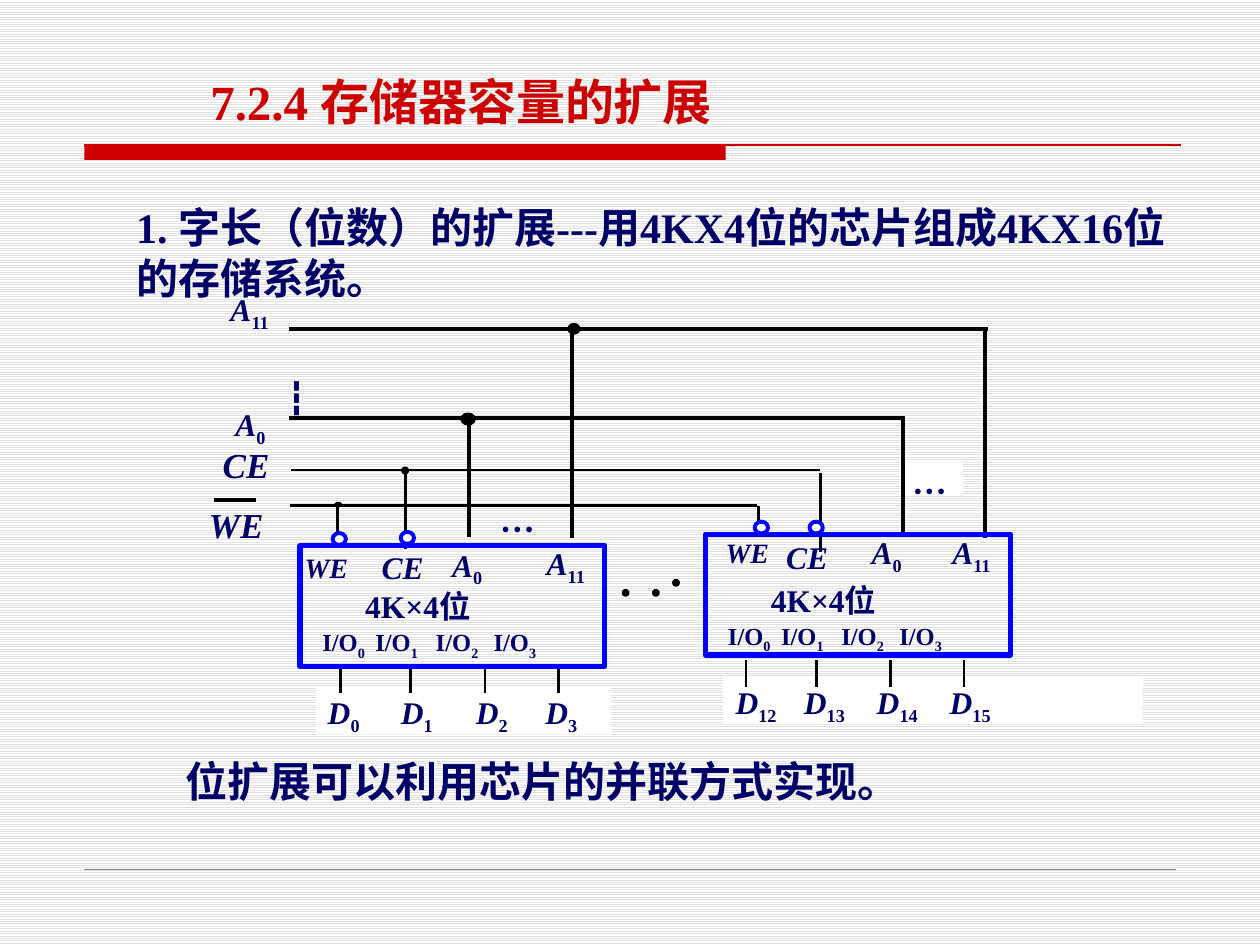
"""Build the slide on extending memory word length with parallel chips."""
import pptx
import pptx.dml.color
import pptx.enum.dml
import pptx.enum.shapes
import pptx.enum.text
import pptx.util
from dataclasses import dataclass
from lxml import etree

Pt = pptx.util.Pt
RGB = pptx.dml.color.RGBColor.from_string
SHAPE = pptx.enum.shapes.MSO_SHAPE


@dataclass
class Theme:
    font: str = "Times New Roman"
    red: str = "CC0000"
    navy: str = "000066"
    blue: str = "0000FF"
    black: str = "000000"
    white: str = "FFFFFF"
    stripe: str = "E0E0E0"
    gray: str = "808080"
    title: int = 28
    body: int = 24
    signal: int = 20
    label: int = 18
    enable: int = 16
    port: int = 14


theme = Theme()
deck = pptx.Presentation()
deck.slide_width, deck.slide_height = Pt(720), Pt(540)
page = deck.slides.add_slide(deck.slide_layouts[1])
backdrop = page.background.fill
backdrop.patterned()
backdrop.pattern = pptx.enum.dml.MSO_PATTERN.LIGHT_HORIZONTAL
backdrop.fore_color.rgb = RGB(theme.stripe)
backdrop.back_color.rgb = RGB(theme.white)


def add_block(kind, left, top, width, height, fill=None, line=None, weight=1):
    block = page.shapes.add_shape(kind, Pt(left), Pt(top), Pt(width), Pt(height))
    block.shadow.inherit = False
    if fill:
        block.fill.solid()
        block.fill.fore_color.rgb = RGB(fill)
    else:
        block.fill.background()
    if line:
        block.line.color.rgb = RGB(line)
        block.line.width = Pt(weight)
    else:
        block.line.fill.background()


def add_label(left, top, text, sub="", size=theme.label, italic=True, width=54, height=30):
    box = page.shapes.add_textbox(Pt(left), Pt(top), Pt(width), Pt(height))
    box.text_frame.word_wrap = True
    para = box.text_frame.paragraphs[0]
    para.text = text
    para.runs[0].font.italic = italic
    if sub:
        span = para.add_run()
        span.text = sub
        span._r.get_or_add_rPr().set("baseline", "-25000")
    for span in para.runs:
        span.font.name = theme.font
        span.font.size = Pt(size)
        span.font.bold = True
        span.font.color.rgb = RGB(theme.navy)


headings = [
    (page.shapes.title, "7.2.4 存储器容量的扩展", (113, 37.4, 532, 40.3),
     theme.title, theme.red, pptx.enum.text.MSO_ANCHOR.MIDDLE),
    (page.placeholders[1], "1. 字长（位数）的扩展---用4KX4位的芯片组成4KX16位的存储系统。",
     (70.6, 111.6, 612, 64.8), theme.body, theme.navy, pptx.enum.text.MSO_ANCHOR.TOP),
]
for box, text, place, size, color, anchor in headings:
    box.left, box.top, box.width, box.height = map(Pt, place)
    frame = box.text_frame
    frame.text = text
    frame.auto_size = pptx.enum.text.MSO_AUTO_SIZE.NONE
    frame.vertical_anchor = anchor
    para = frame.paragraphs[0]
    para.alignment = pptx.enum.text.PP_ALIGN.LEFT
    para.space_before = Pt(0)
    font = para.runs[0].font
    font.name, font.size, font.bold = theme.font, Pt(size), True
    font.color.rgb = RGB(color)
bullet = para._p.get_or_add_pPr()
bullet.set("marL", "0")
bullet.set("indent", "0")
etree.SubElement(bullet, pptx.oxml.ns.qn("a:buNone"))

add_block(SHAPE.RECTANGLE, 48.2, 82.8, 366.5, 8.6, theme.red)
add_block(SHAPE.RECTANGLE, 514.1, 264.2, 36, 18, theme.white)

wires = [
    (48.2, 82.8, 674.6, 82.8, theme.red, 0.75),
    (48.2, 496.8, 671.8, 496.8, theme.gray, 0.25),
]
address_bus = [
    (164.9, 187.9, 564.5, 187.9), (326.9, 187.9, 326.9, 307.4), (563, 187.2, 563, 307.4),
    (164.9, 239, 516.2, 239), (267.8, 239, 267.8, 306.7), (516.2, 237.6, 516.2, 306.7),
    (122.4, 285.8, 146.2, 285.8),
]
control_bus = [
    (166.3, 268.6, 468.7, 268.6), (231.8, 270, 231.8, 313.9), (468.7, 270, 468.7, 315.4),
    (165.6, 288.7, 432.7, 288.7), (193, 289.4, 193, 306.7), (433.4, 289.4, 433.4, 306.7),
]
wires += [(*ends, theme.black, 2.25) for ends in address_bus]
wires += [(*ends, theme.black, 1.5) for ends in control_bus]

chips = [
    {"left": 171.4, "top": 311.8, "rows": 311.8, "data_top": 392.4, "panel": (180.7, 168.5),
     "inputs": [(167, 311), (211, 309.6), (251.3, 308.2), (305.3, 307.4)],
     "bubbles": [(190.1, 304.6), (229, 304)],
     "first_bit": 0, "data": [180.2, 222, 264.8, 304.6]},
    {"left": 403.2, "top": 305.3, "rows": 308.2, "data_top": 386.6, "panel": (413.3, 239.8),
     "inputs": [(407.5, 302.4), (442.1, 303.8), (491, 301), (537.1, 301)],
     "bubbles": [(431.3, 298.1), (462.6, 298.1)],
     "first_bit": 12, "data": [413.2, 452.3, 493.9, 535.6]},
]
input_names = [("WE", "", theme.enable), ("CE", "", theme.label),
               ("A", "0", theme.label), ("A", "11", theme.label)]
pins = [23, 63.3, 105.8, 147.6]
ports = [5.7, 36, 70.5, 103.6]

for chip in chips:
    panel_left, panel_width = chip["panel"]
    add_block(SHAPE.RECTANGLE, panel_left, chip["data_top"], panel_width, 27.4, theme.white)
    for pin in pins:
        x = chip["left"] + pin
        wires.append((x, chip["rows"] + 69.1, x, chip["rows"] + 84.2, theme.black, 1.5))

for x1, y1, x2, y2, color, weight in wires:
    wire = page.shapes.add_connector(
        pptx.enum.shapes.MSO_CONNECTOR.STRAIGHT, Pt(x1), Pt(y1), Pt(x2), Pt(y2))
    wire.line.color.rgb = RGB(color)
    wire.line.width = Pt(weight)
    etree.SubElement(wire._element.spPr, pptx.oxml.ns.qn("a:effectLst"))

for chip in chips:
    add_block(SHAPE.RECTANGLE, chip["left"], chip["top"], 174.2, 69.1, None, theme.blue, 3)
    for left, top in chip["bubbles"]:
        add_block(SHAPE.OVAL, left, top, 7.6, 6.8, theme.white, theme.blue, 2.25)
    for (left, top), (name, sub, size) in zip(chip["inputs"], input_names):
        add_label(left, top, name, sub, size)
    add_label(chip["left"] + 30.2, chip["rows"] + 20.1, "4K×4位", italic=False, width=112)
    for index, (port, data) in enumerate(zip(ports, chip["data"])):
        add_label(chip["left"] + port, chip["rows"] + 43.2, "I/O", str(index),
                  theme.port, False)
        add_label(data, chip["data_top"], "D", str(chip["first_bit"] + index))

junctions = [(229.7, 267.1, 3.6, 3.6), (324.7, 185, 6.5, 5.8),
             (263.5, 236.2, 7.9, 6.5), (191.5, 287.3, 3.6, 2.2)]
for place in junctions:
    add_block(SHAPE.OVAL, *place, theme.black, theme.black)
for left, top in [(356.4, 337.7), (373.7, 337.7), (385.2, 331.9)]:
    add_block(SHAPE.OVAL, left, top, 2.2, 2.2, theme.black, theme.black, 2.25)

add_label(124.6, 162, "A", "11")
add_label(127.4, 228.2, "A", "0")
add_label(120.2, 249.8, "CE", size=theme.signal)
add_label(112.3, 284.4, "WE", size=theme.signal)
add_label(157, 212.4, "┇", italic=False)
for left, top in [(278.6, 285.8), (514.1, 264.2)]:
    add_label(left, top, "···", size=theme.signal, italic=False)
add_label(99, 428.4, "位扩展可以利用芯片的并联方式实现。", size=theme.body,
          italic=False, width=500, height=36)

deck.save("out.pptx")
